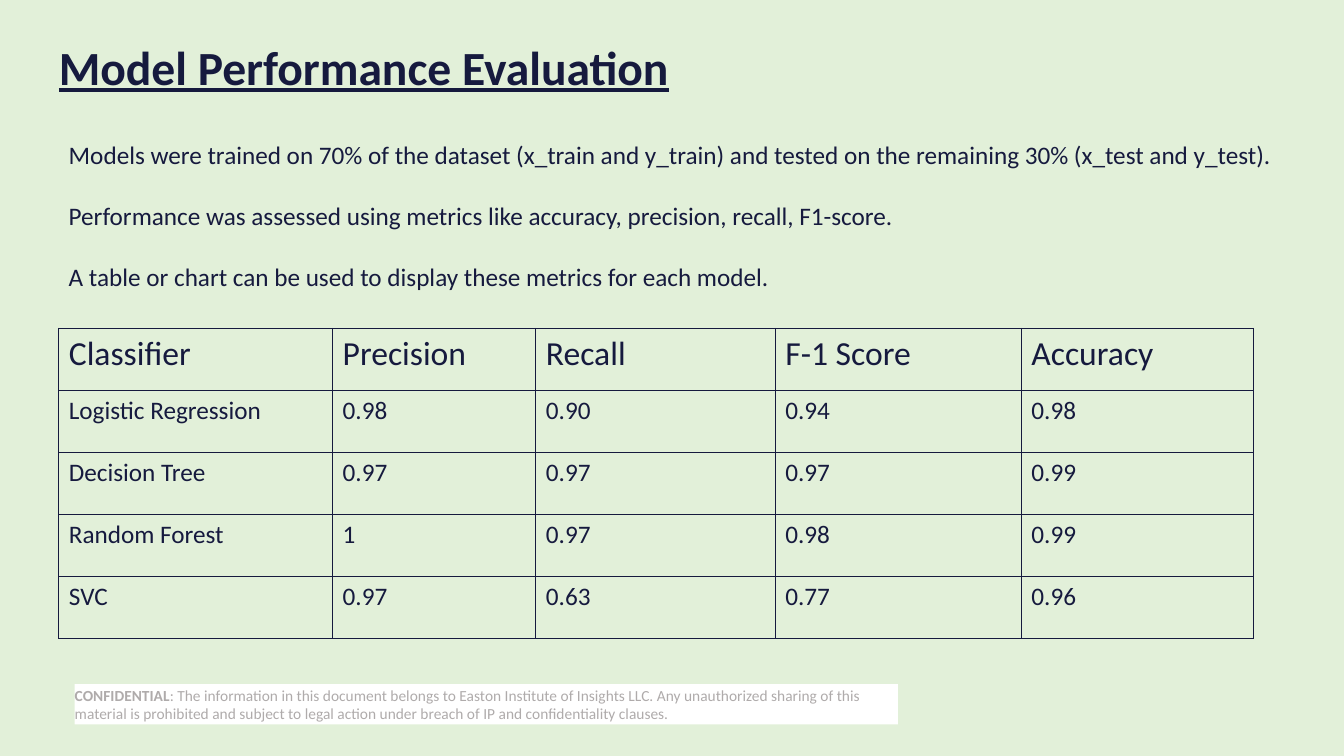
from dataclasses import dataclass

from lxml import etree
from pptx import Presentation
from pptx import util as u
from pptx.dml.color import RGBColor
from pptx.enum import shapes, text
from pptx.oxml import ns

NAVY = RGBColor(0x16, 0x1A, 0x3E)
GREEN = RGBColor(0xE2, 0xF0, 0xD9)
GRAY = RGBColor(0xAF, 0xAB, 0xAB)
WHITE = RGBColor(0xFF, 0xFF, 0xFF)
FONT = "Calibri"
WIDE, HIGH = u.Inches(13.33), u.Inches(7.5)
COLS, ROWS = 160, 90


@dataclass(frozen=True)
class Area:
    col: float
    row: float
    wide: float
    high: float

    def place(self) -> tuple[int, int, int, int]:
        return across(self.col), down(self.row), across(self.wide), down(self.high)


@dataclass(frozen=True)
class Run:
    words: str
    size: float
    color: RGBColor = NAVY
    bold: bool = False
    under: bool = False


@dataclass(frozen=True)
class Block:
    area: Area
    lines: list[list[Run]]
    inset: bool = True
    middle: bool = False
    gap: float = 0
    pitch: float = 1
    fill: RGBColor | None = None


def across(cols: float) -> int:
    return round(WIDE * cols / COLS)


def down(rows: float) -> int:
    return round(HIGH * rows / ROWS)


def add_run(para, run: Run) -> None:
    part = para.add_run()
    part.text = run.words
    font = part.font
    font.name, font.size = FONT, u.Pt(run.size)
    font.bold, font.underline = run.bold, run.under
    font.color.rgb = run.color


def add_block(slide, block: Block) -> None:
    if block.fill is None:
        box = slide.shapes.add_textbox(*block.area.place())
    else:
        box = slide.shapes.add_shape(shapes.MSO_SHAPE.RECTANGLE, *block.area.place())
        box.shadow.inherit = False
        box.fill.solid()
        box.fill.fore_color.rgb = block.fill
        box.line.fill.background()
    frame = box.text_frame
    frame.word_wrap = True
    frame.vertical_anchor = text.MSO_ANCHOR.MIDDLE if block.middle else text.MSO_ANCHOR.TOP
    if not block.inset:
        frame.margin_left = frame.margin_right = frame.margin_top = frame.margin_bottom = 0
    for index, line in enumerate(block.lines):
        para = frame.add_paragraph() if index else frame.paragraphs[0]
        para.alignment = text.PP_ALIGN.LEFT
        para.line_spacing = block.pitch
        if index:
            para.space_before = u.Pt(block.gap)
        for run in line:
            add_run(para, run)


def add_edges(cell) -> None:
    props = cell._tc.get_or_add_tcPr()
    for side in ("a:lnL", "a:lnR", "a:lnT", "a:lnB"):
        edge = etree.SubElement(props, ns.qn(side), w=str(u.Pt(1)))
        fill = etree.SubElement(edge, ns.qn("a:solidFill"))
        etree.SubElement(fill, ns.qn("a:srgbClr"), val=str(NAVY))


def add_grid(slide, area: Area, widths: list[float], data: list[list[str]]) -> None:
    table = slide.shapes.add_table(len(data), len(widths), *area.place()).table
    table.first_row = table.horz_banding = False
    for column, wide in zip(table.columns, widths):
        column.width = across(wide)
    for index, (row, words) in enumerate(zip(table.rows, data)):
        row.height = down(area.high / len(data))
        for cell, word in zip(row.cells, words):
            add_edges(cell)
            cell.fill.background()
            add_run(cell.text_frame.paragraphs[0], Run(word, 18 if index else 24))


NOTE = Block(
    Area(8.9, 81.45, 98, 4.8),
    [[
        Run("CONFIDENTIAL", 11, GRAY, bold=True),
        Run(": The information in this document belongs to Easton Institute of Insights LLC. "
            "Any unauthorized sharing of this material is prohibited and subject to legal "
            "action under breach of IP and confidentiality clauses.", 11, GRAY),
    ]],
    inset=False, middle=True, fill=WHITE,
)
TITLE = Block(
    Area(7, 4.3, 142.2, 8),
    [[Run("Model Performance Evaluation", 34, bold=True, under=True)]],
    inset=False, middle=True, pitch=0.9,
)
BODY = Block(
    Area(7, 16, 147.7, 19.4),
    [[Run(words, 18)] for words in (
        "Models were trained on 70% of the dataset (x_train and y_train) "
        "and tested on the remaining 30% (x_test and y_test).",
        "Performance was assessed using metrics like accuracy, precision, recall, F1-score.",
        "A table or chart can be used to display these metrics for each model.",
    )],
    gap=22,
)
SCORES = [
    ["Classifier", "Precision", "Recall", "F-1 Score", "Accuracy"],
    ["Logistic Regression", "0.98", "0.90", "0.94", "0.98"],
    ["Decision Tree", "0.97", "0.97", "0.97", "0.99"],
    ["Random Forest", "1", "0.97", "0.98", "0.99"],
    ["SVC", "0.97", "0.63", "0.77", "0.96"],
]
SPANS = [32.6, 24.2, 28.5, 29.3, 27.6]


def main() -> None:
    deck = Presentation()
    deck.slide_width, deck.slide_height = WIDE, HIGH
    slide = deck.slides.add_slide(deck.slide_layouts[6])
    back = slide.background.fill
    back.solid()
    back.fore_color.rgb = GREEN
    for block in (NOTE, TITLE, BODY):
        add_block(slide, block)
    add_grid(slide, Area(7, 39.1, sum(SPANS), 36.9), SPANS, SCORES)
    deck.save("out.pptx")


if __name__ == "__main__":
    main()
